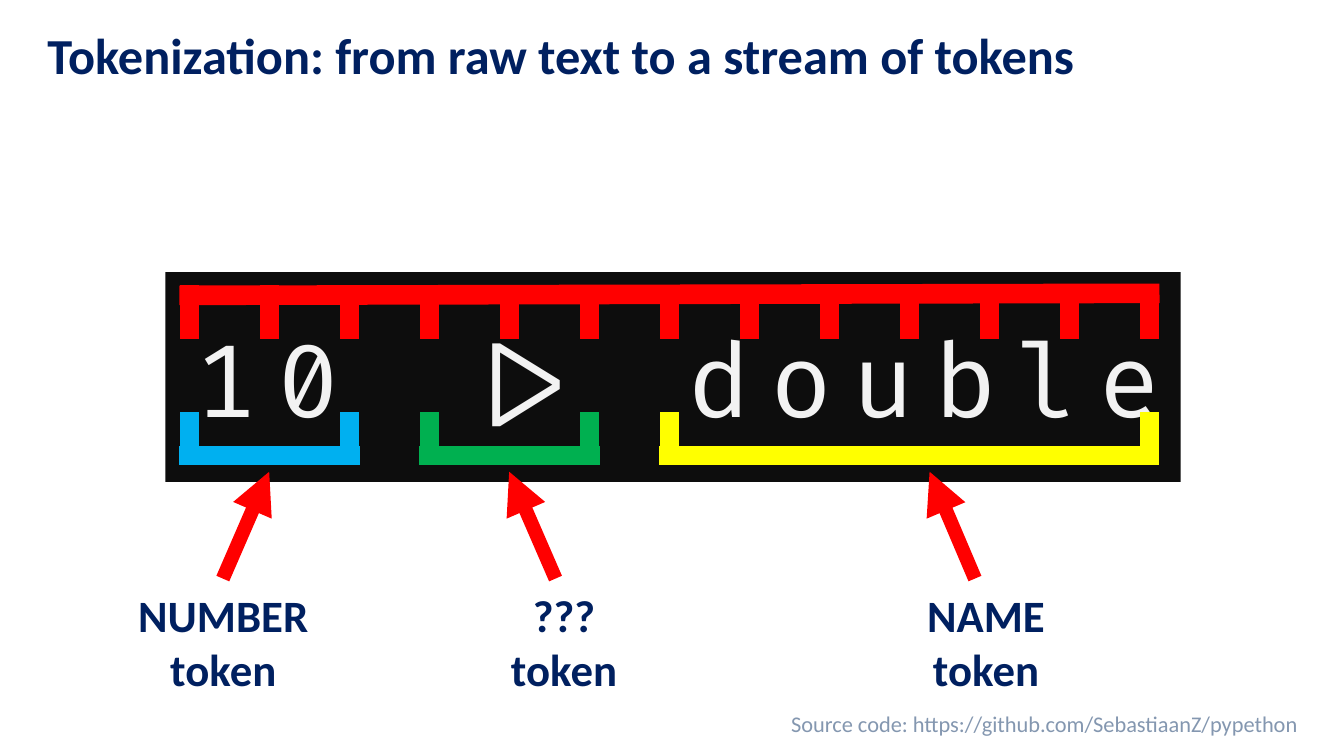
from pptx import Presentation
from pptx.dml.color import RGBColor
from pptx.enum.shapes import MSO_CONNECTOR, MSO_SHAPE
from pptx.enum.text import MSO_ANCHOR, MSO_AUTO_SIZE, PP_ALIGN
from pptx.oxml.ns import qn
from pptx.util import Inches, Pt
from lxml import etree

STRAIGHT = MSO_CONNECTOR.STRAIGHT
RECTANGLE = MSO_SHAPE.RECTANGLE
MIDDLE = MSO_ANCHOR.MIDDLE
LEFT, CENTER, RIGHT = PP_ALIGN.LEFT, PP_ALIGN.CENTER, PP_ALIGN.RIGHT

NAVY = RGBColor(0x00, 0x20, 0x60)
GRAY_BLUE = RGBColor(0x84, 0x97, 0xB0)
BLACK = RGBColor(0x0D, 0x0D, 0x0D)
OFF_WHITE = RGBColor(0xF2, 0xF2, 0xF2)
RED = RGBColor(0xFF, 0x00, 0x00)
BLUE = RGBColor(0x00, 0xB0, 0xF0)
GREEN = RGBColor(0x00, 0xB0, 0x50)
YELLOW = RGBColor(0xFF, 0xFF, 0x00)

TITLE_FONT = {"name": "Calibri", "size": Pt(36), "bold": True}
SOURCE_FONT = {"name": "Calibri", "size": Pt(16)}
CODE_FONT = {"name": "Fira Code", "size": Pt(72)}
LABEL_FONT = {"name": "Calibri", "size": Pt(32), "bold": True}

prs = Presentation()
prs.slide_width, prs.slide_height = Inches(13.33), Inches(7.5)
slide = prs.slides.add_slide(prs.slide_layouts[5])


def write(frame, lines, font, color, align):
    for i, line in enumerate(lines):
        paragraph = frame.paragraphs[0] if i == 0 else frame.add_paragraph()
        paragraph.alignment = align
        run = paragraph.add_run()
        run.text = line
        for key, value in font.items():
            setattr(run.font, key, value)
        run.font.color.rgb = color


def draw_line(x1, y1, x2, y2, color, width=14, arrow=False):
    line = slide.shapes.add_connector(
        STRAIGHT, Inches(x1), Inches(y1), Inches(x2), Inches(y2))
    line.line.color.rgb = color
    line.line.width = Pt(width)
    if arrow:
        etree.SubElement(line.line._get_or_add_ln(), qn("a:tailEnd"), type="triangle")
    etree.SubElement(line._element.spPr, qn("a:effectLst"))


# Title
title = slide.shapes.title
title.left, title.top = Inches(0.37), Inches(0.26)
title.width, title.height = Inches(12.6), Inches(0.63)
title.text_frame.vertical_anchor = MIDDLE
write(title.text_frame, ["Tokenization: from raw text to a stream of tokens"],
      TITLE_FONT, NAVY, LEFT)
title.text_frame.paragraphs[0].line_spacing = 0.9

# Source reference
source = slide.shapes.add_textbox(Inches(0.37), Inches(7), Inches(12.6), Inches(0.4))
source.text_frame.word_wrap = True
write(source.text_frame, ["Source code: https://github.com/SebastiaanZ/pypethon"],
      SOURCE_FONT, GRAY_BLUE, RIGHT)

# Code panel
code = slide.shapes.add_shape(
    RECTANGLE, Inches(1.64), Inches(2.7), Inches(10.07), Inches(2.08))
code.shadow.inherit = False
code.fill.solid()
code.fill.fore_color.rgb = BLACK
code.line.fill.background()
code_frame = code.text_frame
code_frame.word_wrap = False
code_frame.vertical_anchor = MIDDLE
code_frame.margin_left = Inches(0.28)
code_frame.margin_right = code_frame.margin_top = code_frame.margin_bottom = Inches(0.16)
write(code_frame, ["10 |> double"], CODE_FONT, OFF_WHITE, CENTER)
code_frame.paragraphs[0].runs[0].font._element.set("spc", "1440")

# Character ruler: one tick at every character boundary
CHARACTERS = 12
FIRST_TICK, LAST_TICK = 1.88, 11.4
ticks = [FIRST_TICK + i * (LAST_TICK - FIRST_TICK) / CHARACTERS
         for i in range(CHARACTERS + 1)]
OVERHANG = 0.1
draw_line(FIRST_TICK - OVERHANG, 2.93, LAST_TICK + OVERHANG, 2.91, RED)
for tick in ticks:
    draw_line(tick, 2.83, tick, 3.36, RED)

# Brackets under the tokens: first tick, last tick, colour
for first, last, color in [(0, 2, BLUE), (3, 5, GREEN), (6, 12, YELLOW)]:
    draw_line(ticks[first] - OVERHANG, 4.52, ticks[last] + OVERHANG, 4.52, color)
    for end in (ticks[first], ticks[last]):
        draw_line(end, 4.61, end, 4.09, color)

# Token labels with arrows: kind, left, width, arrow start, arrow tip
for kind, left, width, start, tip in [
    ("NUMBER", 1.26, 1.91, 2.21, 2.67),
    ("NAME", 9.09, 1.38, 9.67, 9.22),
    ("???", 4.96, 1.27, 5.51, 5.05),
]:
    draw_line(start, 5.74, tip, 4.68, RED, width=10, arrow=True)
    label = slide.shapes.add_textbox(
        Inches(left), Inches(5.78), Inches(width), Inches(1.18))
    label.text_frame.word_wrap = False
    label.text_frame.auto_size = MSO_AUTO_SIZE.SHAPE_TO_FIT_TEXT
    write(label.text_frame, [kind, "token"], LABEL_FONT, NAVY, CENTER)

prs.save("out.pptx")
